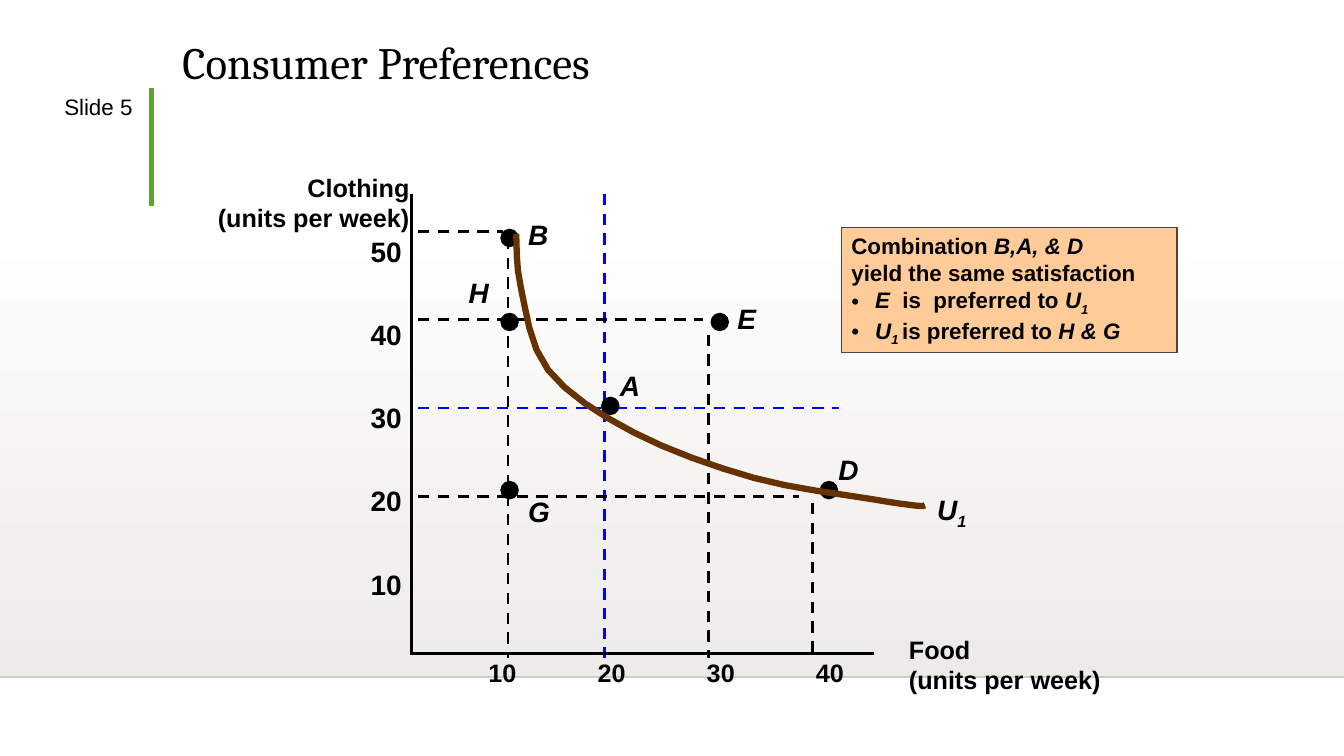
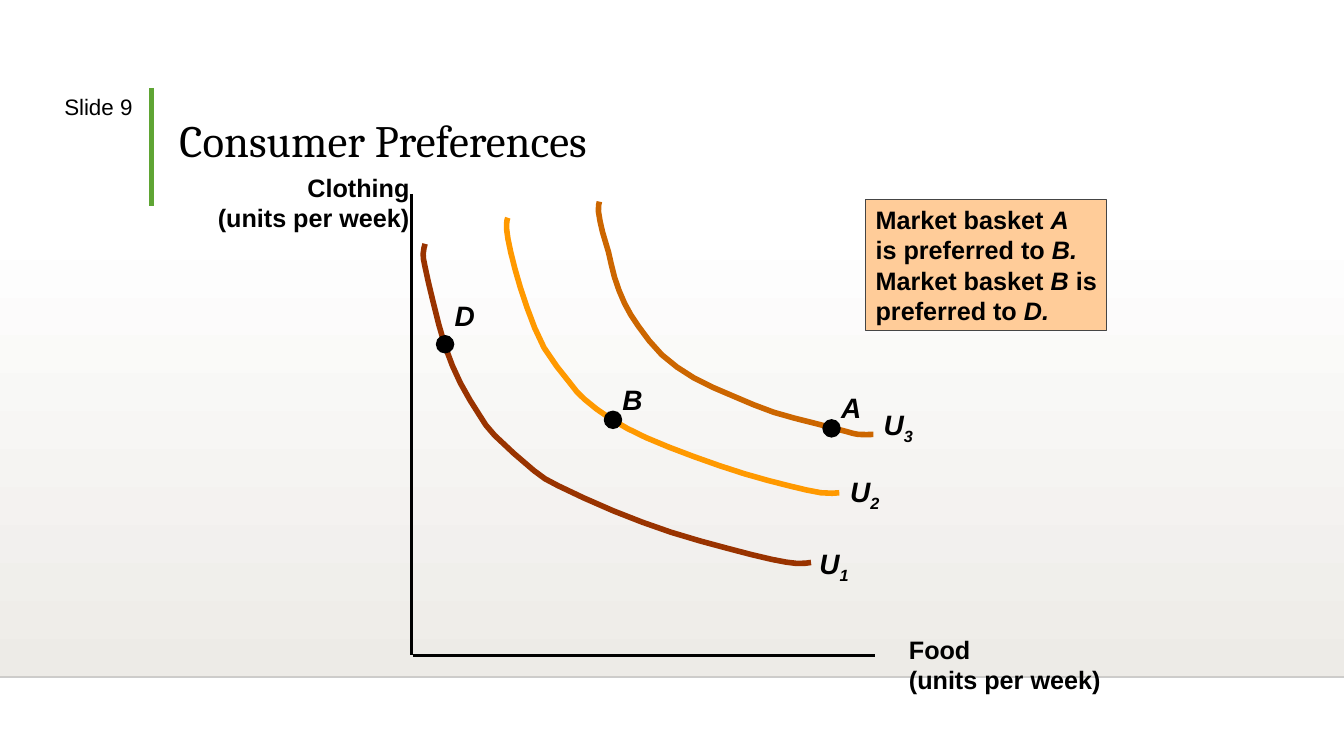
"""Build two slides on consumer preferences and indifference curves."""
from dataclasses import dataclass
from typing import NamedTuple

from lxml import etree
from pptx import Presentation
from pptx.dml.color import RGBColor
from pptx.enum.dml import MSO_LINE
from pptx.enum.shapes import MSO_CONNECTOR, MSO_SHAPE
from pptx.enum.text import MSO_ANCHOR, MSO_AUTO_SIZE, PP_ALIGN
from pptx.oxml.ns import qn
from pptx.util import Pt

STRAIGHT = MSO_CONNECTOR.STRAIGHT
RECTANGLE, OVAL = MSO_SHAPE.RECTANGLE, MSO_SHAPE.OVAL
DASH = MSO_LINE.DASH
LEFT, RIGHT = PP_ALIGN.LEFT, PP_ALIGN.RIGHT
TOP, BOTTOM = MSO_ANCHOR.TOP, MSO_ANCHOR.BOTTOM
NO_AUTOFIT = MSO_AUTO_SIZE.NONE
TITLE_ONLY = 5


@dataclass(frozen=True)
class Theme:
    ink: str = "000000"
    paper: str = "FFFFFF"
    band: str = "EDEBE7"
    accent: str = "5FA534"
    guide: str = "0000FF"
    callout: str = "FFCC99"
    callout_edge: str = "454545"
    brown: str = "663300"
    rust: str = "993300"
    amber: str = "FF9900"
    copper: str = "CC6600"
    heading_font: str = "Cambria"
    body_font: str = "Arial"
    heading: float = 32
    label: float = 20
    axis: float = 18
    small: float = 16


THEME = Theme()


class Point(NamedTuple):
    x: float
    y: float


class Box(NamedTuple):
    left: float
    top: float
    width: float
    height: float


class Span(NamedTuple):
    text: str
    italic: bool = False
    subscript: bool = False


@dataclass(frozen=True)
class Line:
    spans: tuple[Span, ...]
    bullet: bool = False


@dataclass(frozen=True)
class Guide:
    start: Point
    end: Point
    color: str = THEME.ink


@dataclass(frozen=True)
class Basket:
    name: str
    dot: Point
    offset: Point = Point(5.8, -24.4)


@dataclass(frozen=True)
class Curve:
    index: str
    color: str
    width: float
    label: Point
    knots: tuple[tuple[float, float], ...]
    steps: int = 2


@dataclass(frozen=True)
class Callout:
    box: Box
    size: float
    right_inset: float
    lines: tuple[Line, ...]


def rgb(color: str) -> RGBColor:
    return RGBColor.from_string(color)


def emu(box: Box) -> list:
    return [Pt(length) for length in box]


def style(font, size: float, bold: bool = True, name: str = THEME.body_font) -> None:
    font.name, font.size, font.bold = name, Pt(size), bold
    font.color.rgb = rgb(THEME.ink)


def add_line(slide, start: Point, end: Point, color: str, width: float = 2, dash=None):
    line = slide.shapes.add_connector(STRAIGHT, *(Pt(v) for v in (*start, *end)))
    line.line.color.rgb, line.line.width = rgb(color), Pt(width)
    if dash is not None:
        line.line.dash_style = dash
    etree.SubElement(line.element.spPr, qn("a:effectLst"))
    return line


def add_bullet(paragraph) -> None:
    properties = paragraph._p.get_or_add_pPr()
    properties.set("marL", str(Pt(17)))
    properties.set("indent", str(-Pt(17)))
    etree.SubElement(properties, qn("a:buFont"), typeface=THEME.body_font)
    etree.SubElement(properties, qn("a:buChar"), char="•")


def write_lines(frame, lines: tuple[Line, ...], size: float) -> None:
    for number, line in enumerate(lines):
        paragraph = frame.add_paragraph() if number else frame.paragraphs[0]
        paragraph.alignment = LEFT
        if line.bullet:
            add_bullet(paragraph)
        for span in line.spans:
            run = paragraph.add_run()
            run.text = span.text
            style(run.font, size)
            run.font.italic = span.italic
            if span.subscript:
                run._r.get_or_add_rPr().set("baseline", "-25000")


def add_label(slide, text: str, box: Box, size: float, align=LEFT, bold: bool = True,
              italic: bool = False, wrap: bool = False) -> None:
    frame = slide.shapes.add_textbox(*emu(box)).text_frame
    frame.word_wrap = wrap
    frame.text = text
    for paragraph in frame.paragraphs:
        paragraph.alignment = align
        for run in paragraph.runs:
            style(run.font, size, bold)
            run.font.italic = italic


def add_backdrop(slide) -> None:
    """Draw the shared band and rules, then hand them to the slide's layout."""
    layout = slide.slide_layout
    for placeholder in list(layout.placeholders):
        if placeholder.placeholder_format.idx:
            layout.shapes.element.remove(placeholder.element)
    band = slide.shapes.add_shape(RECTANGLE, *emu(Box(0, 158.4, 960.48, 325)))
    band.shadow.inherit = False
    band.line.fill.background()
    band.fill.gradient()
    band.fill.gradient_angle = 270
    for stop, color in zip(band.fill.gradient_stops, (THEME.paper, THEME.band)):
        stop.color.rgb = rgb(color)
    floor = add_line(slide, Point(0, 483.7), Point(960.48, 483.7), THEME.ink, 1)
    for color in floor.element.spPr.iter(qn("a:srgbClr")):
        etree.SubElement(color, qn("a:alpha"), val="20000")
    bar = add_line(slide, Point(108.2, 62.8), Point(108.2, 147), THEME.accent, 3)
    for part in (band, floor, bar):
        layout.shapes.element.append(part.element)


def add_heading(slide, number: int, corner: Point) -> None:
    title = slide.shapes.title
    title.left, title.top, title.width, title.height = emu(Box(*corner, 749.5, 82.8))
    frame = title.text_frame
    frame.text = "Consumer Preferences"
    frame.vertical_anchor, frame.auto_size, frame.word_wrap = BOTTOM, NO_AUTOFIT, True
    paragraph = frame.paragraphs[0]
    paragraph.alignment, paragraph.line_spacing = LEFT, 0.9
    style(paragraph.runs[0].font, THEME.heading, False, THEME.heading_font)
    add_label(slide, f"Slide {number}", Box(36.8, 63, 65, 39.6), THEME.small, RIGHT,
              bold=False, wrap=True)


def add_axes(slide, origin: Point) -> None:
    add_line(slide, Point(294.1, 138.5), Point(294.1, 468), THEME.ink)
    add_line(slide, origin, Point(origin.x + 330.2, origin.y), THEME.ink)
    add_label(slide, "Food\n(units per week)", Box(642.5, 449.3, 151.2, 50.4), THEME.axis)
    add_label(slide, "Clothing\n(units per week)", Box(148.6, 119.5, 151.2, 50.4),
              THEME.axis, RIGHT)


def add_scales(slide) -> None:
    for step in range(5):
        tick = str(10 * (step + 1))
        add_label(slide, tick, Box(257.8, 401.5 - 59.4 * step, 36.7, 31), THEME.label)
        if step < 4:
            add_label(slide, tick, Box(342 + 78 * step, 466.2, 34.5, 28.8), THEME.axis)


def add_basket(slide, basket: Basket) -> None:
    dot = slide.shapes.add_shape(OVAL, *emu(Box(*basket.dot, 12.2, 12.2)))
    dot.shadow.inherit = False
    dot.fill.solid()
    dot.fill.fore_color.rgb = dot.line.color.rgb = rgb(THEME.ink)
    dot.line.width = Pt(1)
    corner = Point(basket.dot.x + basket.offset.x, basket.dot.y + basket.offset.y)
    add_label(slide, basket.name, Box(*corner, 28.8, 31), THEME.label, italic=True)


def smooth(knots: tuple[tuple[float, float], ...], steps: int) -> list[tuple]:
    """Return points on the Catmull-Rom spline through the knots."""
    padded = (knots[0], *knots, knots[-1])
    points = [knots[0]]
    for a, b, c, d in zip(padded, padded[1:], padded[2:], padded[3:]):
        for t in (step / steps for step in range(1, steps + 1)):
            points.append(tuple(
                q + t / 2 * (r - p + t * (2 * p - 5 * q + 4 * r - s
                                          + t * (3 * (q - r) + s - p)))
                for p, q, r, s in zip(a, b, c, d)))
    return points


def add_curve(slide, curve: Curve) -> None:
    start, *rest = [(Pt(x), Pt(y)) for x, y in smooth(curve.knots, curve.steps)]
    builder = slide.shapes.build_freeform(*start)
    builder.add_line_segments(rest, close=False)
    outline = builder.convert_to_shape()
    outline.shadow.inherit = False
    outline.fill.background()
    outline.line.color.rgb, outline.line.width = rgb(curve.color), Pt(curve.width)
    frame = slide.shapes.add_textbox(*emu(Box(*curve.label, 35.3, 34.6))).text_frame
    frame.word_wrap = False
    write_lines(frame, (Line((Span("U", True), Span(curve.index, True, True))),), THEME.label)


def add_callout(slide, callout: Callout) -> None:
    panel = slide.shapes.add_shape(RECTANGLE, *emu(callout.box))
    panel.shadow.inherit = False
    panel.fill.solid()
    panel.fill.fore_color.rgb = rgb(THEME.callout)
    panel.line.color.rgb, panel.line.width = rgb(THEME.callout_edge), Pt(1)
    frame = panel.text_frame
    frame.word_wrap, frame.vertical_anchor = True, TOP
    frame.margin_right = Pt(callout.right_inset)
    write_lines(frame, callout.lines, callout.size)


GUIDES = (
    Guide(Point(298.8, 291.4), Point(599.8, 291.4), THEME.guide),
    Guide(Point(432, 138.5), Point(432, 470.2), THEME.guide),
    Guide(Point(298.8, 165.6), Point(359.3, 165.6)),
    Guide(Point(298.8, 228.4), Point(502.6, 228.4)),
    Guide(Point(298.8, 354.5), Point(571, 354.5)),
    Guide(Point(363.1, 169.9), Point(363.1, 470.2)),
    Guide(Point(506.4, 239), Point(506.4, 470.2)),
    Guide(Point(580.7, 359.3), Point(580.7, 470.2)),
)
COMPARED_BASKETS = (
    Basket("G", Point(358.1, 344), Point(12.2, 5.8)), Basket("D", Point(586.3, 344)),
    Basket("H", Point(358.1, 223.9), Point(-30.2, -30.6)), Basket("A", Point(430.1, 283.9)),
    Basket("B", Point(358.1, 163.9), Point(12.2, -12.2)),
    Basket("E", Point(508.3, 223.9), Point(11.7, -12.2)),
)
RANKED_BASKETS = (Basket("B", Point(432, 293.8)), Basket("A", Point(588.2, 299.9)),
                  Basket("D", Point(312, 239.8), Point(5.8, -30.3)))
SINGLE_CURVE = Curve("1", THEME.brown, 4.5, Point(662.6, 348.5), (
    (368.9, 167), (372.2, 205.2), (391.7, 264.2), (452.9, 308.9), (538.6, 341.3),
    (622.1, 356.4), (655, 361.2), (661, 360.9)), 4)
CURVE_MAP = (
    Curve("2", THEME.amber, 4, Point(600.5, 335.5), (
        (362.9, 155.5), (362, 160), (363, 170.6), (368, 192), (376.6, 219.6), (388.8, 248.4),
        (406.8, 272.9), (417.6, 285.1), (437, 299.5), (461.5, 312.5), (496, 326.2),
        (532, 338.4), (563.8, 347), (586.8, 352), (599.8, 352))),
    Curve("3", THEME.copper, 4, Point(624.4, 287.3), (
        (428.4, 144), (427.7, 151), (430.6, 165.6), (434.9, 180), (439.2, 198),
        (446.4, 216.7), (456.5, 233.3), (473, 253.4), (496, 270), (524.2, 283),
        (553, 294.5), (582.5, 302.4), (604.8, 308.2), (613.4, 310.3), (624.2, 310.3))),
    Curve("1", THEME.rust, 4, Point(578.4, 386.6), (
        (303.8, 174.2), (302.4, 181.4), (303.8, 190.8), (309.6, 216), (318.2, 247.7),
        (329, 273.6), (342.7, 296.6), (353.5, 311), (381.6, 336.2), (398.9, 347),
        (438.5, 365), (479.5, 380.2), (519.8, 391.7), (551.5, 399.6), (569.5, 402.5),
        (579.6, 401.8))),
)
SATISFACTION = Callout(Box(601.4, 162.5, 239.8, 89.3), THEME.small, 7.2, (
    Line((Span("Combination "), Span("B,A, & D", True))),
    Line((Span("yield the same satisfaction"),)),
    Line((Span("E ", True), Span(" is  preferred to "), Span("U", True),
          Span("1", True, True)), True),
    Line((Span("U", True), Span("1 ", True, True), Span("is preferred to "),
          Span("H & G", True)), True)))
RANKING = Callout(Box(618.7, 142.5, 172, 93.6), THEME.axis, 0, (
    Line((Span("Market basket "), Span("A", True))),
    Line((Span("is preferred to "), Span("B.", True))),
    Line((Span("Market basket "), Span("B", True), Span(" is"))),
    Line((Span("preferred to "), Span("D.", True)))))


def build_single_curve(deck, layout) -> None:
    slide = deck.slides.add_slide(layout)
    add_backdrop(slide)
    add_heading(slide, 5, Point(123.1, -15.6))
    for guide in GUIDES:
        add_line(slide, guide.start, guide.end, guide.color, dash=DASH)
    add_axes(slide, Point(294.1, 467))
    add_scales(slide)
    for basket in COMPARED_BASKETS:
        add_basket(slide, basket)
    add_callout(slide, SATISFACTION)
    add_curve(slide, SINGLE_CURVE)


def build_curve_map(deck, layout) -> None:
    slide = deck.slides.add_slide(layout)
    add_heading(slide, 9, Point(121, 40.5))
    add_axes(slide, Point(295.4, 468.5))
    for curve in CURVE_MAP:
        add_curve(slide, curve)
    for basket in RANKED_BASKETS:
        add_basket(slide, basket)
    add_callout(slide, RANKING)


def main() -> None:
    deck = Presentation()
    deck.slide_width, deck.slide_height = Pt(960.48), Pt(540)
    layout = deck.slide_layouts[TITLE_ONLY]
    build_single_curve(deck, layout)
    build_curve_map(deck, layout)
    deck.save("out.pptx")


if __name__ == "__main__":
    main()
